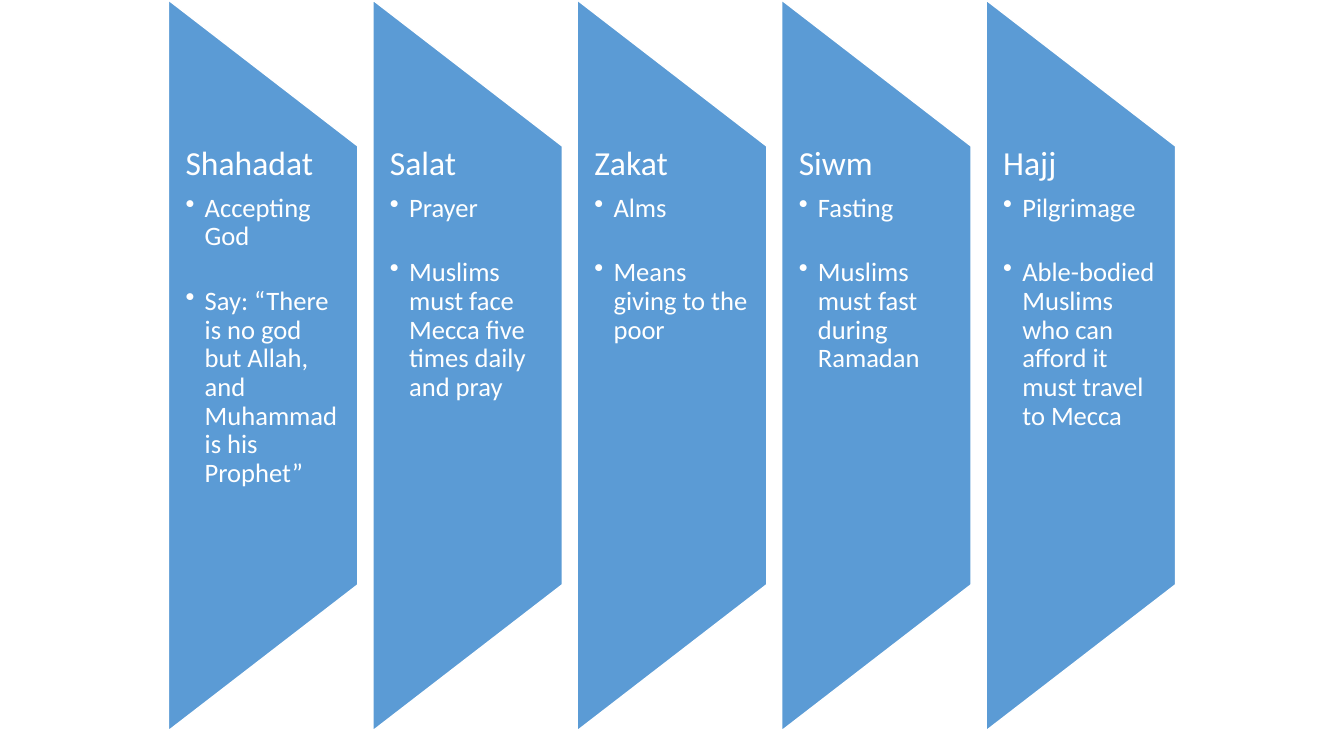
from lxml import etree
from pptx import Presentation
from pptx.dml.color import RGBColor
from pptx.enum.shapes import MSO_SHAPE
from pptx.enum.text import MSO_ANCHOR, PP_ALIGN
from pptx.oxml.ns import qn
from pptx.util import Inches, Pt

BLUE = RGBColor(0x5B, 0x9B, 0xD5)
WHITE = RGBColor(0xFF, 0xFF, 0xFF)
PANEL = MSO_SHAPE.FLOWCHART_MANUAL_OPERATION
TOP = MSO_ANCHOR.TOP
LEFT = PP_ALIGN.LEFT

FONT = "Calibri"
NAME_SIZE = 24
DETAIL_SIZE = 19
BULLET_INDENT = Inches(0.19)

PILLARS = [
    ("Shahadat", "Accepting God",
     "Say: “There is no god but Allah, and Muhammad is his Prophet”"),
    ("Salat", "Prayer", "Muslims must face Mecca five times daily and pray"),
    ("Zakat", "Alms", "Means giving to the poor"),
    ("Siwm", "Fasting", "Muslims must fast during Ramadan"),
    ("Hajj", "Pilgrimage",
     "Able-bodied Muslims who can afford it must travel to Mecca"),
]


def add_bullet(paragraph):
    paragraph.level = 1
    properties = paragraph._p.get_or_add_pPr()
    properties.set("marL", str(BULLET_INDENT))
    properties.set("indent", str(-BULLET_INDENT))
    etree.SubElement(properties, qn("a:buChar")).set("char", "•")


def write_line(paragraph, text, size, space_after):
    paragraph.text = text
    paragraph.alignment = LEFT
    paragraph.line_spacing = 0.9
    paragraph.space_after = Pt(space_after)
    font = paragraph.runs[0].font
    font.name = FONT
    font.size = Pt(size)
    font.color.rgb = WHITE


def add_pillar(slide, left, top, width, height, name, meaning, duty):
    panel = slide.shapes.add_shape(
        PANEL,
        Inches(left + (width - height) / 2), Inches(top + (height - width) / 2),
        Inches(height), Inches(width))
    panel.rotation = 270
    panel.shadow.inherit = False
    panel.fill.solid()
    panel.fill.fore_color.rgb = BLUE
    panel.line.color.rgb = WHITE
    panel.line.width = Pt(1)

    description = slide.shapes.add_textbox(
        Inches(left), Inches(top + height * 0.2),
        Inches(width), Inches(height * 0.6))
    frame = description.text_frame
    frame.word_wrap = True
    frame.vertical_anchor = TOP
    frame.margin_left = Inches(0.17)
    frame.margin_right = Inches(0.16)
    frame.margin_top = frame.margin_bottom = 0

    write_line(frame.paragraphs[0], name, NAME_SIZE, 8.4)
    for text, space_after in ((meaning, 25.5), (duty, 0)):
        detail = frame.add_paragraph()
        write_line(detail, text, DETAIL_SIZE, space_after)
        add_bullet(detail)


def add_pillar_row(slide, left, top, width, height):
    pillar_width = 1.88
    pitch = (width - pillar_width) / (len(PILLARS) - 1)
    for index, pillar in enumerate(PILLARS):
        add_pillar(slide, left + index * pitch, top, pillar_width, height, *pillar)


def main():
    presentation = Presentation()
    presentation.slide_width = Inches(13.33)
    presentation.slide_height = Inches(7.5)
    slide = presentation.slides.add_slide(presentation.slide_layouts[6])
    add_pillar_row(slide, 1.67, 0, 9.99, 7.25)
    presentation.save("out.pptx")


if __name__ == "__main__":
    main()
